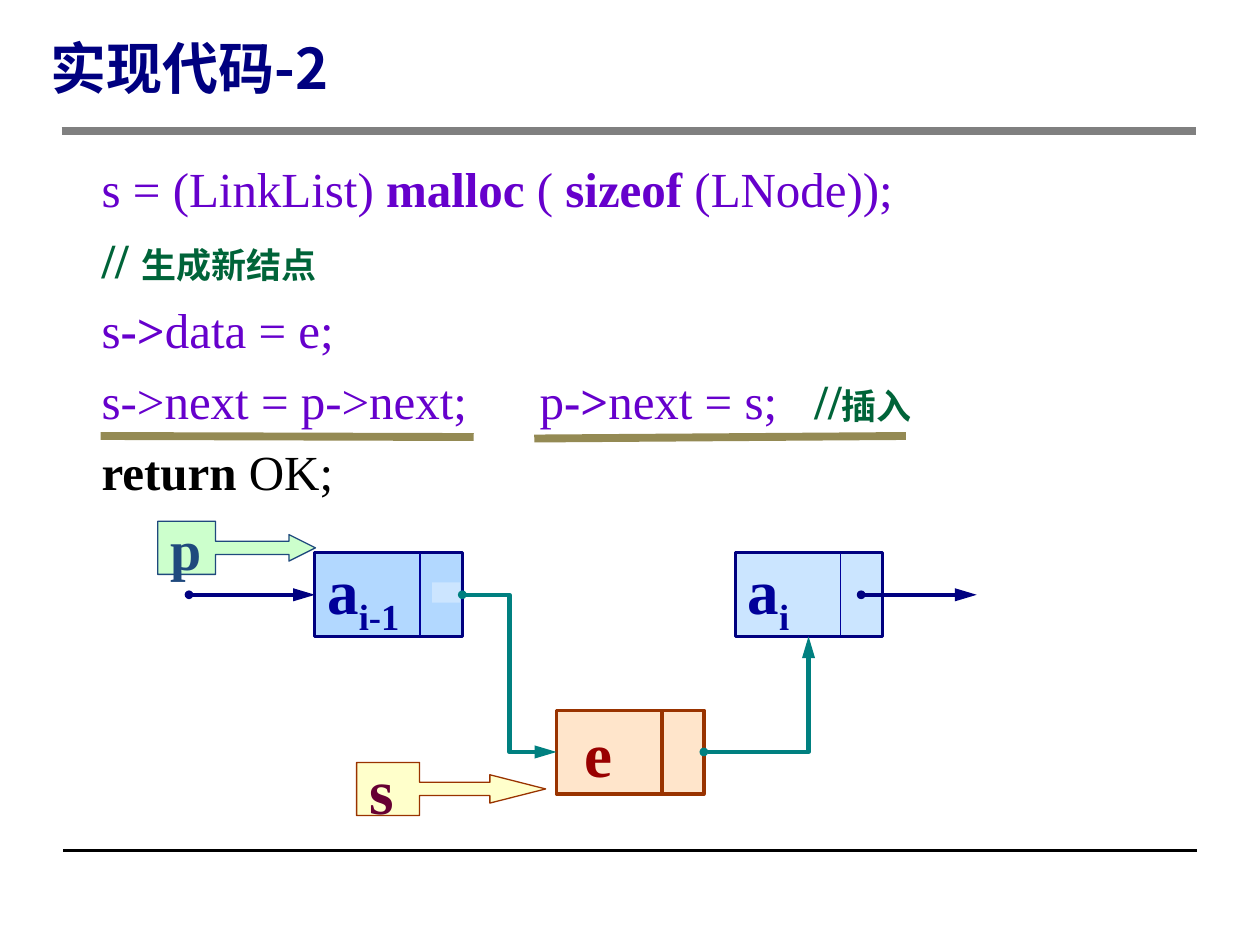
from lxml import etree
from pptx import Presentation
from pptx import util as u
from pptx.dml.color import RGBColor
from pptx.enum import shapes, text
from pptx.oxml.ns import qn

# ---- Content (lengths in centimetres) ----
COLORS = {
    "navy": "000080", "ink": "000099", "purple": "6600CC", "green": "006439",
    "black": "000000", "gray": "808080", "olive": "948A54", "teal": "008080",
    "sky": "99CCFF", "deep_sky": "B2D8FF", "pale_sky": "CCE5FF",
    "peach": "FFCC99", "brown": "993300", "red": "990000", "mint": "CCFFCC",
    "slate": "1F497D", "yellow": "FFFF99", "wine": "660033",
}
SERIF, SANS = "Times New Roman", "Noto Sans CJK SC"

# Text styles: font, size, colour, bold
STYLES = {
    "title": (SANS, 32, "navy", True),
    "code": (SERIF, 28, "purple", False),
    "strong": (SERIF, 28, "purple", True),
    "slashes": (SERIF, 28, "green", True),
    "comment": (SANS, 20, "green", True),
    "keyword": (SERIF, 28, "black", True),
    "plain": (SERIF, 28, "black", False),
    "node": (SERIF, 36, "ink", True),
    "new": (SERIF, 36, "red", True),
    "s": (SERIF, 36, "wine", True),
    "p": (SERIF, 32, "slate", True),
}
TITLE = [[("实现代码-2", "title")]]
CODE = [
    [("s = (LinkList) ", "code"), ("malloc ", "strong"), ("( ", "code"),
     ("sizeof ", "strong"), ("(LNode));", "code")],
    [("// ", "slashes"), ("生成新结点", "comment")],
    [("s", "code"), ("->", "strong"), ("data = e;", "code")],
    [("s->next = p->next;\tp", "code"), ("->", "strong"), ("next = s;\t", "code"),
     ("//", "slashes"), ("插入", "comment")],
    [("return", "keyword"), (" OK;", "plain")],
]
CODE_TABS = (8.83, 14.37)

# Nodes: left, top, label, subscript, style, fill, opacity, border, border pt, divider, divider pt, inset
NODE_W, NODE_H, DATA_W = 2.97, 1.69, 2.12
NODES = [
    (11.22, 14.32, "e", "", "new", "peach", 50, "brown", 2, "brown", 2, 0.57),
    (6.35, 11.14, "a", "i-1", "node", "deep_sky", 100, "navy", 1.75, "ink", 0.75, 0.25),
    (14.82, 11.14, "a", "i", "node", "sky", 50, "navy", 1.75, "ink", 0.75, 0.25),
]
# Pointers: left, top, width, label, fill, opacity, border, adjustments
POINTERS = [
    (7.19, 15.37, 3.81, "s", "yellow", 50, "brown", (0.25, 0.267, 1.05, 0.333)),
    (3.18, 10.51, 3.18, "p", "mint", 100, "slate", (0.25, 0.25, 0.5, 0.367)),
]
POINTER_H = 1.07
UPPER_Y, LOWER_Y = 11.99, 15.16
RULES = [
    ((1.27, 17.15), (24.13, 17.15), "black", 2),
    ((1.24, 2.64), (24.1, 2.64), "gray", 5),
]
UNDERLINES = [
    ((2.03, 8.79), (9.55, 8.81), "olive", 4.5),
    ((10.77, 8.84), (18.26, 8.79), "olive", 4.5),
]
# Links: start, end, colour, preset
LINKS = [
    ((3.81, UPPER_Y), (6.35, UPPER_Y), "navy", "line"),
    ((17.36, UPPER_Y), (19.69, UPPER_Y), "navy", "line"),
    ((9.32, UPPER_Y), (11.22, LOWER_Y), "teal", "bentConnector3"),
    ((14.19, LOWER_Y), (16.3, 12.83), "teal", "bentConnector2"),
]

deck = Presentation()
deck.slide_width, deck.slide_height = u.Cm(25.4), u.Cm(19.05)
page = deck.slides.add_slide(deck.slide_layouts[6])


def color(name):
    return RGBColor.from_string(COLORS[name])


def apply(target, values):
    for name, value in values.items():
        setattr(target, name, value)


def write(box, paragraphs, frame_format, line_spacing=None, tabs=()):
    frame = box.text_frame
    apply(frame, frame_format)
    for index, spans in enumerate(paragraphs):
        para = frame.paragraphs[0] if index == 0 else frame.add_paragraph()
        apply(para, {"alignment": text.PP_ALIGN.LEFT, "line_spacing": line_spacing})
        if any("\t" in words for words, _ in spans):
            stops = etree.SubElement(para._p.get_or_add_pPr(), qn("a:tabLst"))
            for stop in tabs:
                etree.SubElement(stops, qn("a:tab"), pos=str(u.Cm(stop)), algn="l")
        for words, style in spans:
            font, size, tint, bold = STYLES[style]
            span = para.add_run()
            span.text = words
            apply(span.font, {"size": u.Pt(size), "bold": bold, "name": font})
            span.font.color.rgb = color(tint)
            etree.SubElement(span._r.get_or_add_rPr(), qn("a:ea"), typeface=font)


def add_box(preset, area, fill, opacity=100, border=None, width=0):
    box = page.shapes.add_shape(preset, *map(u.Cm, area))
    box.shadow.inherit = False
    box.fill.solid()
    box.fill.fore_color.rgb = color(fill)
    if opacity < 100:
        tint = box._element.spPr.find(".//" + qn("a:srgbClr"))
        etree.SubElement(tint, qn("a:alpha"), val=str(opacity * 1000))
    if border:
        box.line.color.rgb, box.line.width = color(border), u.Pt(width)
    else:
        box.line.fill.background()
    return box


def add_line(start, end, tint, width, preset="line", arrow=False):
    line = page.shapes.add_connector(shapes.MSO_CONNECTOR.STRAIGHT, *map(u.Cm, start + end))
    line.line.color.rgb, line.line.width = color(tint), u.Pt(width)
    props = line._element.spPr
    props.find(qn("a:prstGeom")).set("prst", preset)
    if arrow:
        stroke = props.find(qn("a:ln"))
        etree.SubElement(stroke, qn("a:headEnd"), type="oval", w="sm", len="sm")
        etree.SubElement(stroke, qn("a:tailEnd"), type="triangle", w="med", len="lg")
    etree.SubElement(props, qn("a:effectLst"))


# ---- Rules and code ----
for rule in RULES:
    add_line(*rule)

code_box = page.shapes.add_textbox(*map(u.Cm, (1.8, 2.84, 20.6, 7.65)))
write(code_box, CODE, {"word_wrap": True}, 1.2, CODE_TABS)

# ---- List nodes ----
LABEL = {"word_wrap": False, "vertical_anchor": text.MSO_ANCHOR.MIDDLE}
for left, top, label, sub, style, fill, opacity, border, width, divider, divider_width, inset in NODES:
    node = add_box(shapes.MSO_SHAPE.RECTANGLE, (left, top, NODE_W, NODE_H),
                   fill, opacity, border, width)
    spans = [(label, style)] + ([(sub, style)] if sub else [])
    write(node, [spans], {**LABEL, "margin_left": u.Cm(inset)})
    if sub:
        node.text_frame.paragraphs[0].runs[1].font._element.set("baseline", "-25000")
    x = left + DATA_W
    add_line((x, top), (x, top + NODE_H), divider, divider_width)

# Pale patch in the link field of the first node
add_box(shapes.MSO_SHAPE.RECTANGLE, (8.71, 11.74, 0.57, 0.41), "pale_sky")

# ---- Links, pointers and underlines ----
for start, end, tint, preset in LINKS:
    add_line(start, end, tint, 2.5, preset, arrow=True)

for left, top, width, label, fill, opacity, border, adjustments in POINTERS:
    pointer = add_box(shapes.MSO_SHAPE.RIGHT_ARROW_CALLOUT, (left, top, width, POINTER_H),
                      fill, opacity, border, 0.75)
    for index, value in enumerate(adjustments):
        pointer.adjustments[index] = value
    write(pointer, [[(label, label)]], LABEL)

for underline in UNDERLINES:
    add_line(*underline)

# ---- Title ----
title_box = page.shapes.add_textbox(*map(u.Cm, (0.76, 0.46, 21.6, 1.73)))
write(title_box, TITLE, {**LABEL, "word_wrap": True}, u.Pt(40))

deck.save("out.pptx")
